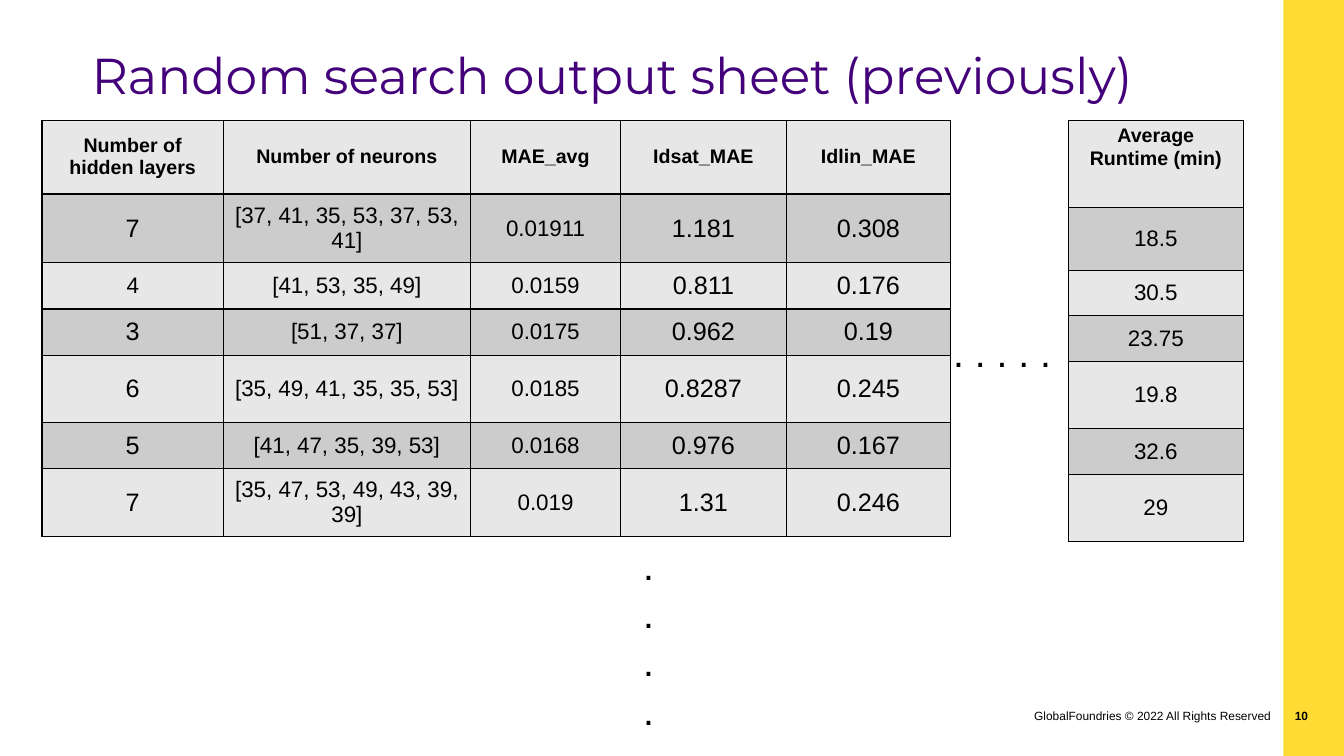
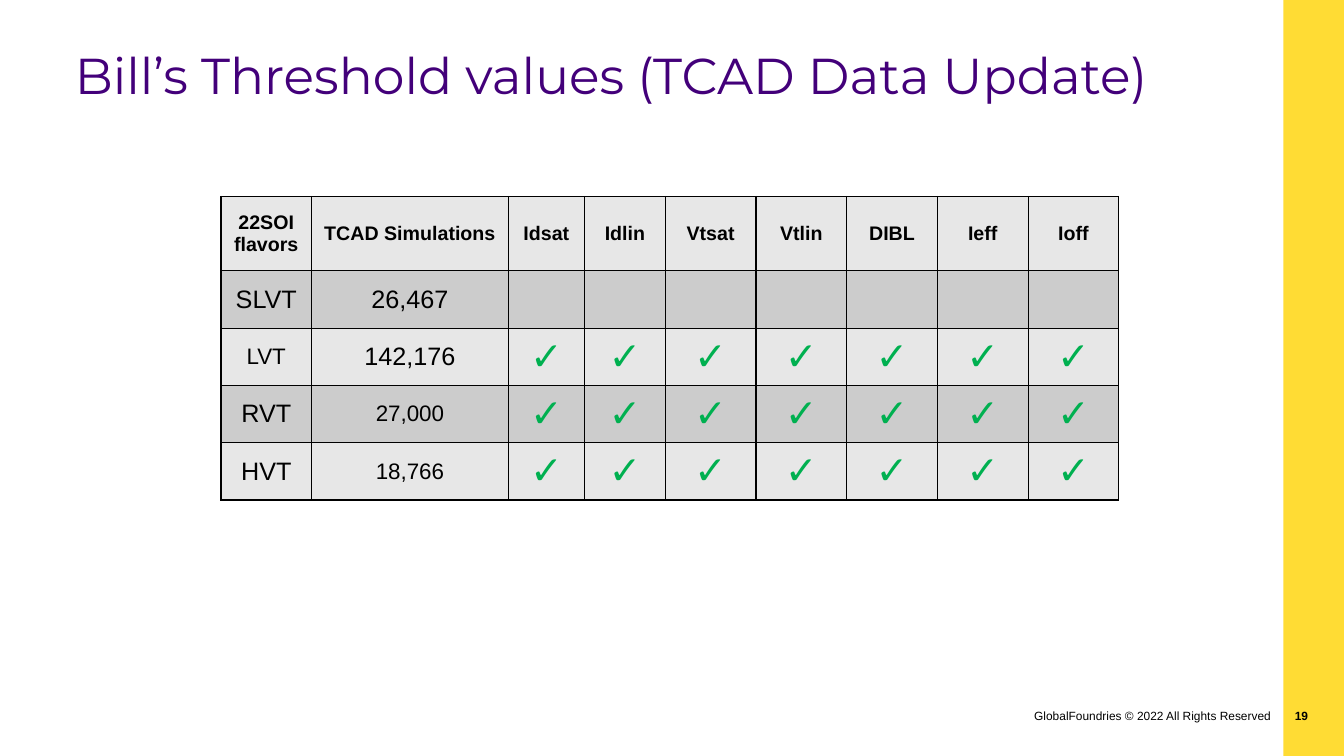
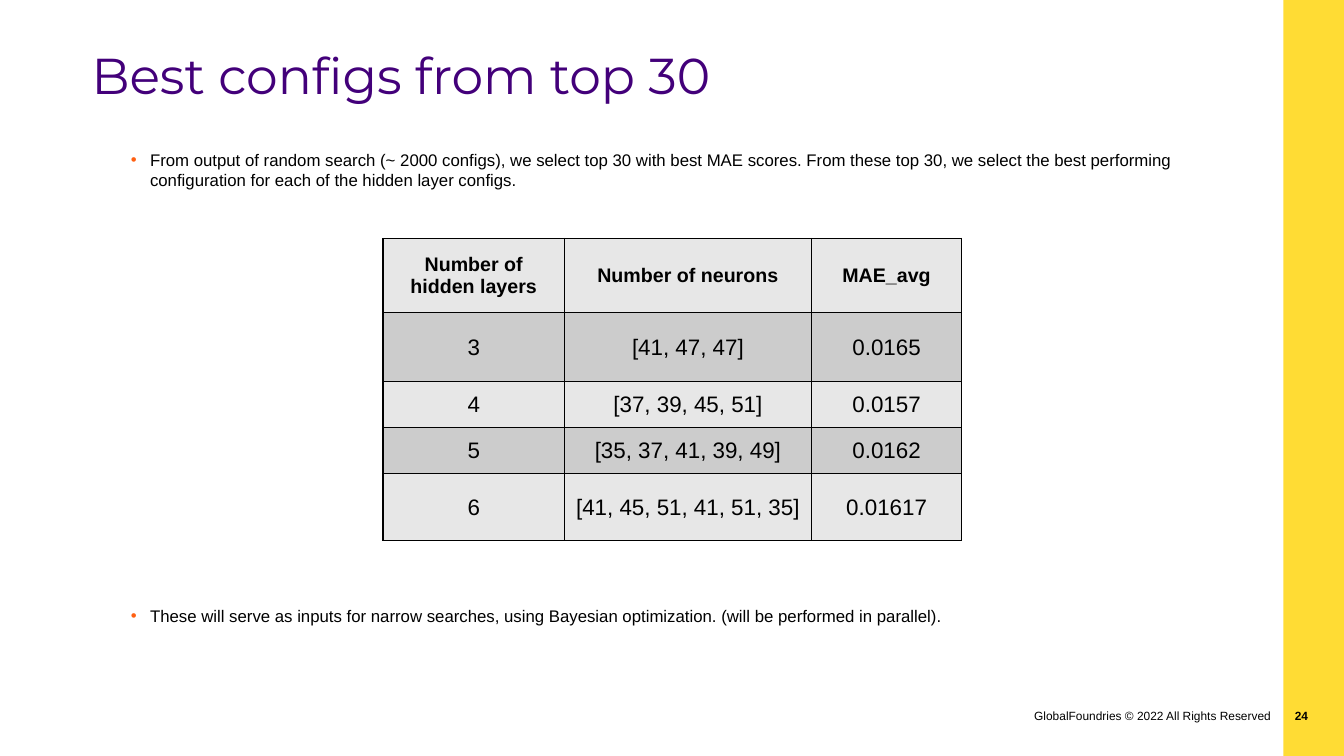
from lxml import etree
from pptx import Presentation
from pptx import util as u
from pptx.dml.color import RGBColor as Rgb
from pptx.enum import shapes, text
from pptx.oxml.ns import qn

HUES = {"band": "FFDC34", "title": "43007A", "ink": "000000", "light": "E7E7E7",
        "dark": "CCCCCC", "tick": "00B050", "dot": "FF6012"}
CELL = u.Inches(1 / 12)  # the slide is a grid of 160 columns by 90 rows
WIDE, HIGH = 160, 90
EDGE = 152.8
MID, RIGHT, LEFT = text.PP_ALIGN.CENTER, text.PP_ALIGN.RIGHT, text.PP_ALIGN.LEFT


def label(page, box, lines, size, align, bold=False):
    """Add a text box, given in grid cells, with one paragraph per line."""
    frame = page.shapes.add_textbox(*[round(n * CELL) for n in box]).text_frame
    frame.word_wrap = True
    for i, line in enumerate(lines):
        para = frame.add_paragraph() if i else frame.paragraphs[0]
        para.alignment = align
        if i:
            para.space_before = u.Pt(1)
        run = para.add_run()
        run.text = line
        run.font.name, run.font.size, run.font.bold = "Arial", u.Pt(size), bold
        run.font.color.rgb = Rgb.from_string(HUES["ink"])
    return frame


def sheet(page, spot, cols, rows, cells, sizes, pad=None):
    """Add a ruled table; a cell is its text, or (text, size) to override its column."""
    area = [*spot, sum(cols), sum(rows)]
    table = page.shapes.add_table(len(rows), len(cols), *[round(n * CELL) for n in area]).table
    table.first_row = table.horz_banding = False
    for col, n in zip(table.columns, cols):
        col.width = round(n * CELL)
    for row, n in zip(table.rows, rows):
        row.height = round(n * CELL)
    for r, line in enumerate(cells):
        for c, item in enumerate(line):
            cell = table.cell(r, c)
            prop = cell._tc.get_or_add_tcPr()
            for side in ("lnL", "lnR", "lnT", "lnB"):
                rule = etree.SubElement(prop, qn("a:" + side), w=str(u.Pt(1)))
                fill = etree.SubElement(rule, qn("a:solidFill"))
                etree.SubElement(fill, qn("a:srgbClr"), val=HUES["ink"])
            cell.fill.solid()
            cell.fill.fore_color.rgb = Rgb.from_string(HUES["dark" if r % 2 else "light"])
            cell.vertical_anchor = text.MSO_ANCHOR.MIDDLE
            if pad is not None and r:
                cell.margin_left = cell.margin_right = cell.margin_top = u.Inches(pad)
                cell.margin_bottom = 0
            if not item:
                continue
            word, size = item if isinstance(item, tuple) else (item, sizes[c])
            para = cell.text_frame.paragraphs[0]
            para.alignment = MID
            run = para.add_run()
            run.text = word
            run.font.name, run.font.bold = "Arial", r == 0
            run.font.size = u.Pt(size if r else 14)
            run.font.color.rgb = Rgb.from_string(HUES["tick" if word == "✓" else "ink"])
    return table


deck = Presentation()
deck.slide_width, deck.slide_height = WIDE * CELL, HIGH * CELL

# Shared frame: band, title, footer and page number
pages = []
for name, left, num in [("Random search output sheet (previously)", 10.9, 10),
                        ("Bill’s Threshold values (TCAD Data Update)", 8.9, 19),
                        ("Best configs from top 30", 10.9, 24)]:
    page = deck.slides.add_slide(deck.slide_layouts[5])
    pages.append(page)
    band = page.shapes.add_shape(shapes.MSO_SHAPE.RECTANGLE, round(EDGE * CELL), 0,
                                 round((WIDE - EDGE) * CELL), HIGH * CELL)
    band.shadow.inherit = False
    band.fill.solid()
    band.fill.fore_color.rgb = Rgb.from_string(HUES["band"])
    band.line.fill.background()

    title = page.shapes.title
    title.left, title.top = round(left * CELL), round(5.3 * CELL)
    title.width, title.height = round((150.7 - left) * CELL), round(7.4 * CELL)
    frame = title.text_frame
    frame.margin_left = frame.margin_right = frame.margin_top = frame.margin_bottom = 0
    frame.auto_size = text.MSO_AUTO_SIZE.NONE
    frame.vertical_anchor = text.MSO_ANCHOR.TOP
    frame.paragraphs[0].alignment = LEFT
    run = frame.paragraphs[0].add_run()
    run.text = name
    run.font.name, run.font.size = "Montserrat", u.Pt(36)
    run.font.color.rgb = Rgb.from_string(HUES["title"])

    label(page, (120.7, 83.8, 31.8, 4.8), ["GlobalFoundries © 2022 All Rights Reserved"],
          8.5, RIGHT)
    label(page, (151.9, 83.8, 5, 4.8), [str(num)], 8.5, RIGHT, True).margin_left = 0

search, limits, best = pages
heads = ["Number of hidden layers", "Number of neurons", "MAE_avg"]
cols = [21.6, 29.4, 17.9, 19.7, 19.6]
rows = [8.8, 8.2, 5.5, 5.5, 8, 5.5, 8.1]

# Random search output
sheet(search, (5, 14.3), cols, rows, [
    heads + ["Idsat_MAE", "Idlin_MAE"],
    ["7", "[37, 41, 35, 53, 37, 53, 41]", "0.01911", "1.181", "0.308"],
    [("4", 16), "[41, 53, 35, 49]", "0.0159", "0.811", "0.176"],
    ["3", "[51, 37, 37]", "0.0175", "0.962", "0.19"],
    ["6", "[35, 49, 41, 35, 35, 53]", "0.0185", "0.8287", "0.245"],
    ["5", "[41, 47, 35, 39, 53]", "0.0168", "0.976", "0.167"],
    ["7", "[35, 47, 53, 49, 43, 39, 39]", "0.019", "1.31", "0.246"],
], [18, 16, 16, 18, 18])
times = ["Average Runtime (min)", "18.5", "30.5", "23.75", "19.8", "32.6", "29"]
clock = sheet(search, (127.2, 14.3), [20.8], [10.4, 7.5, 5.4, 5.4, 8, 5.5, 8],
              [[time] for time in times], [16])
clock.cell(0, 0).vertical_anchor = text.MSO_ANCHOR.TOP
label(search, (59.2, 63.8, 36, 23.9), ["."] * 4, 28, MID)
label(search, (101.3, 38.5, 36, 6.9), [". . . . ."], 28, MID)

# Threshold values
marks = ["Idsat", "Idlin", "Vtsat", "Vtlin", "DIBL", "Ieff", "Ioff"]
ticks = ["✓"] * len(marks)
sheet(limits, (26.3, 23.4), [10.8, 23.4, 9.1, 9.6] + [10.8] * 5, [8.8, 6.9] + [6.4] * 3, [
    ["22SOI flavors", "TCAD Simulations"] + marks,
    ["SLVT", ("26,467", 18)] + [""] * len(marks),
    [("LVT", 16), ("142,176", 18)] + ticks,
    ["RVT", "27,000"] + ticks,
    ["HVT", "18,766"] + ticks,
], [18, 16] + [28] * len(marks))

# Best configs
sheet(best, (45.6, 28.4), cols[:3], rows[:5], [
    heads,
    ["3", "[41, 47, 47]", "0.0165"],
    ["4", "[37, 39, 45, 51]", "0.0157"],
    ["5", "[35, 37, 41, 39, 49]", "0.0162"],
    ["6", "[41, 45, 51, 41, 51, 35]", "0.01617"],
], [16] * 3, 0.01)
for top, tall, note in [
    (17.2, 11.3, "From output of random search (~ 2000 configs), we select top 30 with best MAE "
     "scores. From these top 30, we select the best performing configuration for each of the "
     "hidden layer configs."),
    (71.5, 6.2, "These will serve as inputs for narrow searches, using Bayesian optimization. "
     "(will be performed in parallel)."),
]:
    frame = label(best, (10.8, top, 137.6, tall), [note], 12, LEFT)
    prop = frame.paragraphs[0]._p.get_or_add_pPr()
    prop.set("marL", str(u.Inches(0.49)))
    prop.set("indent", str(u.Inches(-0.19)))
    hue = etree.SubElement(prop, qn("a:buClr"))
    etree.SubElement(hue, qn("a:srgbClr"), val=HUES["dot"])
    etree.SubElement(prop, qn("a:buFont"), typeface="Arial")
    etree.SubElement(prop, qn("a:buChar"), char="•")

deck.save("out.pptx")
